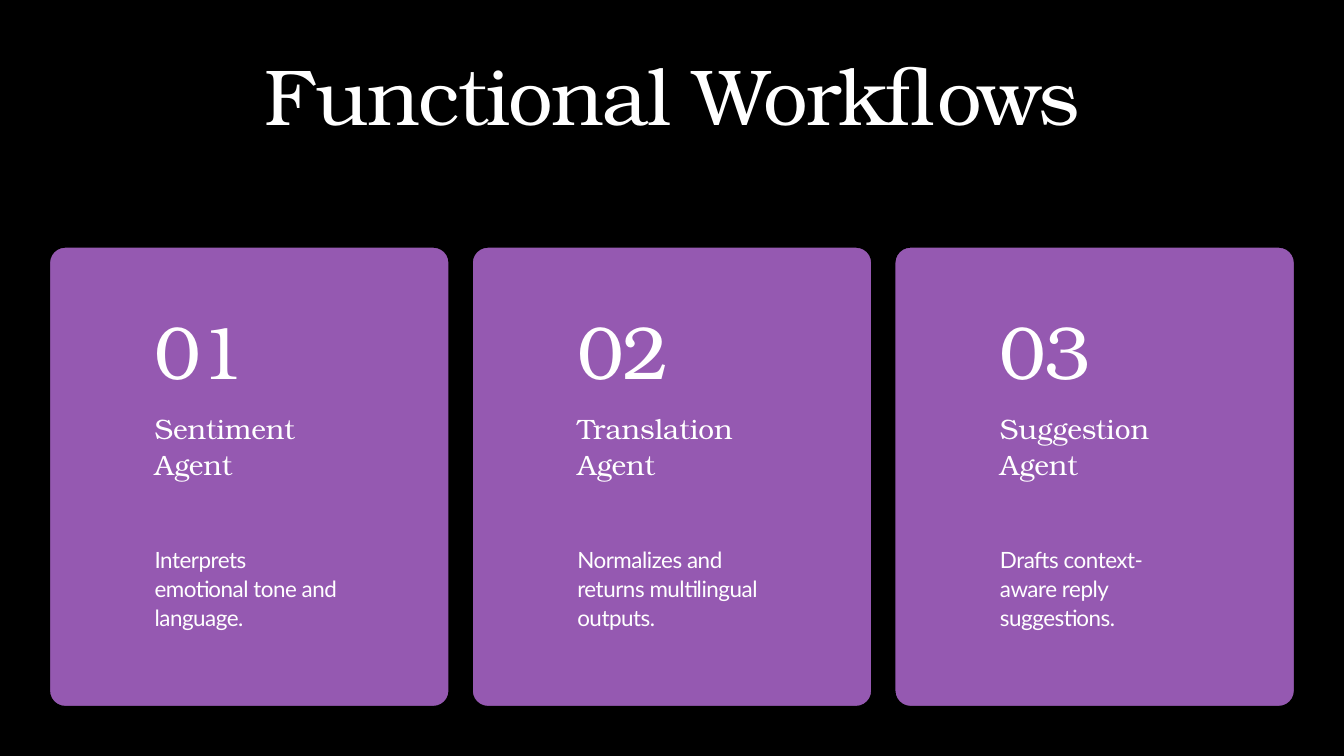
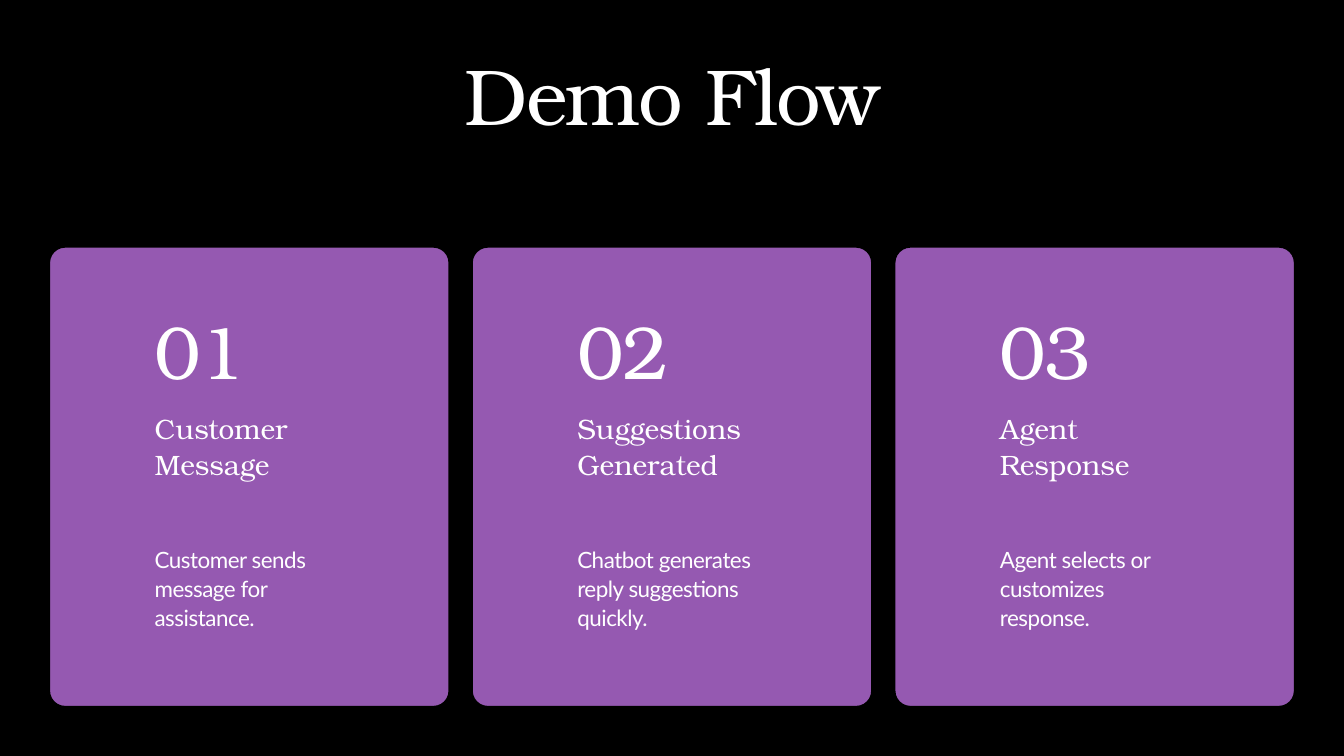
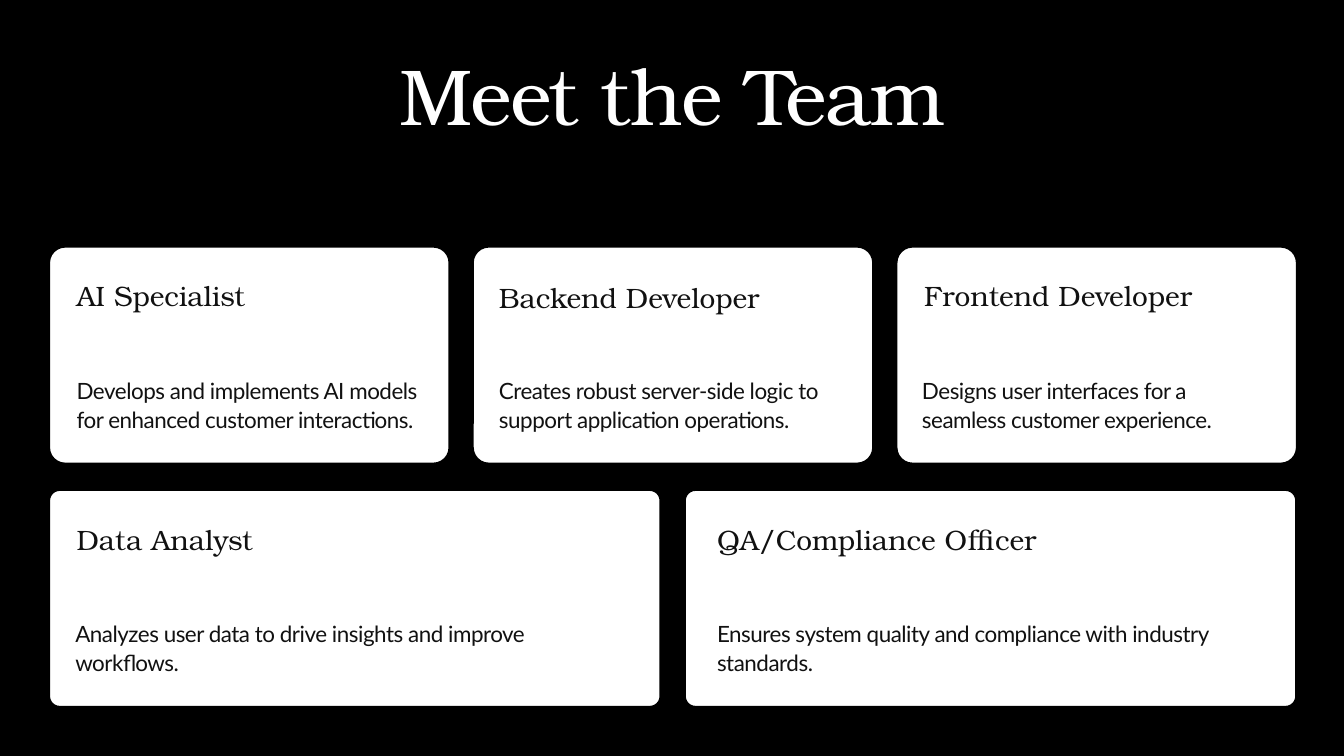
from dataclasses import dataclass

from pptx import Presentation
from pptx.dml.color import RGBColor
from pptx.enum.shapes import MSO_SHAPE as Shape
from pptx.enum.text import MSO_AUTO_SIZE as AutoSize, PP_ALIGN as Align
from pptx.util import Inches, Pt

# Shared look
BLACK, WHITE, INK, PURPLE = "000000", "FFFFFF", "111111", "9559B1"
SERIF, SANS = "TeX Gyre Bonum", "Lato"
SLIDE_WIDTH, SLIDE_HEIGHT = 20, 11.25
MARGIN, CARDS_TOP, CARD_WIDTH = 0.73, 3.67, 5.96


@dataclass(frozen=True)
class TextStyle:
    font: str
    size: float
    line: float
    spacing: float = 0


TITLE = TextStyle(SERIF, 85, 85, -1.7)
NUMBER = TextStyle(SERIF, 80, 80, -1.6)
HEADING = TextStyle(SERIF, 30, 39)
BODY = TextStyle(SANS, 24, 31.2, -0.5)


def color(value):
    return RGBColor.from_string(value)


class Deck:
    def __init__(self):
        self.presentation = Presentation()
        self.presentation.slide_width = Inches(SLIDE_WIDTH)
        self.presentation.slide_height = Inches(SLIDE_HEIGHT)
        self.slide = None

    def new_slide(self):
        blank = self.presentation.slide_layouts[6]
        self.slide = self.presentation.slides.add_slide(blank)
        fill = self.slide.background.fill
        fill.solid()
        fill.fore_color.rgb = color(BLACK)

    def card(self, left, top, width, height, fill, radius=0.24):
        shape = self.slide.shapes.add_shape(
            Shape.ROUNDED_RECTANGLE, Inches(left), Inches(top), Inches(width), Inches(height))
        shape.adjustments[0] = radius / min(width, height)
        shape.shadow.inherit = False
        shape.fill.solid()
        shape.fill.fore_color.rgb = color(fill)
        shape.line.color.rgb = color(BLACK)
        shape.line.width = Pt(2.25)

    def text(self, content, left, top, width, height, style, ink=WHITE, align=Align.LEFT):
        box = self.slide.shapes.add_textbox(
            Inches(left), Inches(top), Inches(width), Inches(height))
        frame = box.text_frame
        frame.word_wrap = True
        frame.auto_size = AutoSize.SHAPE_TO_FIT_TEXT
        frame.margin_left = frame.margin_right = frame.margin_top = frame.margin_bottom = 0
        paragraph = frame.paragraphs[0]
        paragraph.alignment = align
        paragraph.line_spacing = Pt(style.line)
        run = paragraph.add_run()
        run.text = content
        run.font.name = style.font
        run.font.size = Pt(style.size)
        run.font.color.rgb = color(ink)
        if style.spacing:
            run.font._element.set("spc", str(round(style.spacing * 100)))

    def title(self, content, left=MARGIN):
        self.text(content, left, 0.92, SLIDE_WIDTH - 2 * left, 1.23, TITLE, align=Align.CENTER)

    def numbered_cards(self, title, steps):
        """Title above three purple cards with number, heading and body."""
        self.new_slide()
        self.title(title)
        pitch = (SLIDE_WIDTH - 2 * MARGIN - CARD_WIDTH) / 2
        for index, (heading, body) in enumerate(steps):
            left = MARGIN + index * pitch
            self.card(left, CARDS_TOP, CARD_WIDTH, 6.85, PURPLE)
            text_left = left + 1.57
            self.text(f"{index + 1:02}", text_left, 4.76, 2.81, 1.21, NUMBER)
            self.text(heading, text_left, 6.08, 2.81, 1.07, HEADING)
            self.text(body, text_left, 8.09, 2.81, 1.28, BODY)

    def role_row(self, top, width, pitch, radius, heading_top, body_top, text_width, roles):
        """Row of white cards; each role brings its own text insets."""
        for index, (heading, body, heading_inset, body_inset, drop) in enumerate(roles):
            left = MARGIN + index * pitch
            self.card(left, top, width, 3.23, WHITE, radius)
            self.text(heading, left + heading_inset, heading_top + drop, text_width, 0.53,
                      HEADING, INK)
            self.text(body, left + body_inset, body_top, text_width, 0.86, BODY, INK)


def main():
    deck = Deck()

    # Workflows
    deck.numbered_cards("Functional Workflows", [
        ("Sentiment Agent", "Interprets emotional tone and language."),
        ("Translation Agent", "Normalizes and returns multilingual outputs."),
        ("Suggestion Agent", "Drafts context-aware reply suggestions."),
    ])

    # Demo
    deck.numbered_cards("Demo Flow", [
        ("Customer Message", "Customer sends message for assistance."),
        ("Suggestions Generated", "Chatbot generates reply suggestions quickly."),
        ("Agent Response", "Agent selects or customizes response."),
    ])

    # Team
    deck.new_slide()
    deck.role_row(CARDS_TOP, CARD_WIDTH, 6.305, 0.24, 4.1, 5.58, 5.15, [
        ("AI Specialist",
         "Develops and implements AI models for enhanced customer interactions.", 0.41, 0.41, 0),
        ("Backend Developer",
         "Creates robust server-side logic to support application operations.", 0.39, 0.39, 0.03),
        ("Frontend Developer",
         "Designs user interfaces for a seamless customer experience.", 0.41, 0.38, 0),
    ])
    deck.role_row(7.29, 9.1, 9.46, 0.16, 7.73, 9.19, 8.15, [
        ("Data Analyst",
         "Analyzes user data to drive insights and improve workflows.", 0.41, 0.39, 0),
        ("QA/Compliance Officer",
         "Ensures system quality and compliance with industry standards.", 0.48, 0.48, 0),
    ])
    deck.title("Meet the Team", left=2.3)

    deck.presentation.save("out.pptx")


if __name__ == "__main__":
    main()
